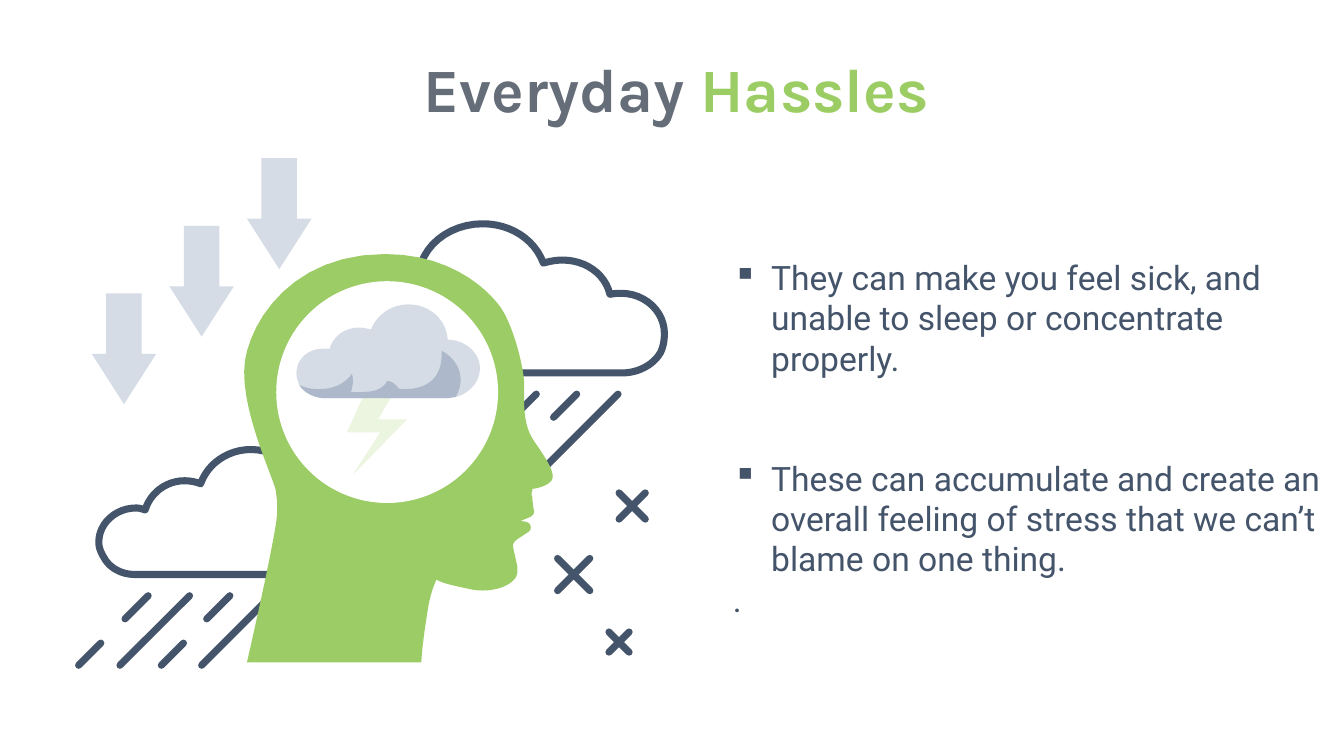
from pptx import Presentation
from pptx.dml.color import RGBColor
from pptx.enum.shapes import MSO_CONNECTOR, MSO_SHAPE
from pptx.enum.text import MSO_ANCHOR, MSO_AUTO_SIZE, PP_ALIGN
from pptx.oxml.ns import qn
from pptx.util import Pt
from lxml.etree import SubElement

PX = 9144
NAVY, GREEN, GREY = "44546A", "9CCC65", "656D78"
TITLE_GREEN, PALE_GREEN = "9BCD64", "EBF5E0"
PALE_BLUE, SHADE_BLUE, WHITE = "D6DCE5", "ADB9CA", "FFFFFF"
STROKE = 7
CURVE_STEPS = 12

# Outlines: a start point, then pairs for straight edges and sixes for Bézier curves.
LEFT_CLOUD = [
    (301, 570), (134, 570), (121, 570, 109, 564, 103, 553), (100, 548, 98, 543, 98, 538),
    (98, 519, 115, 504, 135, 504), (138, 504, 141, 505, 144, 506),
    (149, 489, 165, 477, 183, 477), (188, 477, 194, 478, 199, 480),
    (206, 460, 226, 446, 249, 446), (276, 446, 299, 466, 301, 492),
    (325, 494, 343, 510, 343, 531), (343, 549, 330, 564, 311, 569),
    (308, 570, 305, 570, 301, 570)]
RIGHT_CLOUD = [
    (617, 370), (416, 370), (412, 370, 408, 370, 403, 369), (380, 363, 365, 345, 365, 323),
    (365, 299, 387, 277, 415, 276), (416, 245, 445, 222, 479, 222),
    (506, 222, 530, 237, 539, 261), (546, 259, 552, 258, 558, 258),
    (580, 258, 600, 271, 605, 292), (610, 291, 613, 291, 616, 291),
    (640, 291, 659, 309, 659, 331), (659, 337, 658, 344, 655, 350),
    (648, 362, 633, 370, 617, 370)]
HEAD = [
    (418, 657), (245, 657), (245, 657, 274, 531, 275, 509), (275, 505, 275, 500, 275, 497),
    (274, 492, 274, 488, 273, 484), (267, 465, 237, 400, 243, 358),
    (249, 318, 290, 252, 382, 252), (455, 252, 491, 296, 498, 307),
    (510, 326, 520, 366, 520, 382), (520, 399, 518, 421, 530, 438),
    (542, 455, 550, 468, 548, 475), (546, 480, 537, 484, 528, 485),
    (528, 486, 528, 487, 528, 487), (527, 489, 527, 491, 528, 493),
    (528, 497, 529, 501, 529, 504), (530, 506, 530, 509, 529, 510),
    (528, 513, 520, 515, 516, 517), (524, 517, 528, 520, 526, 526),
    (525, 527, 524, 528, 522, 529), (517, 533, 509, 536, 509, 541),
    (509, 545, 511, 551, 512, 557), (514, 563, 514, 571, 510, 575),
    (503, 583, 484, 589, 464, 584), (445, 580, 438, 578, 433, 575),
    (429, 583, 426, 595, 425, 601), (418, 643, 418, 657, 418, 657)]
LIGHTNING = [(375, 416), (388, 394), (360, 394), (344, 429), (377, 429), (350, 471), (404, 416)]
STORM_CLOUD = [
    (476, 365), (476, 379, 466, 390, 452, 394), (449, 394, 446, 395, 444, 395), (320, 395),
    (310, 394, 301, 389, 297, 382), (295, 378, 294, 374, 294, 370),
    (294, 356, 306, 346, 320, 346), (322, 346, 325, 346, 327, 346),
    (330, 334, 342, 325, 356, 325), (360, 325, 364, 326, 368, 327),
    (373, 313, 388, 302, 405, 302), (426, 302, 443, 317, 444, 337),
    (461, 337, 476, 350, 476, 365)]
STORM_SHADE = [
    (438, 348), (440, 380, 417, 386, 403, 386), (399, 386, 396, 386, 395, 385),
    (394, 383, 389, 378, 384, 378), (379, 388, 367, 389, 357, 389),
    (353, 389, 350, 389, 348, 389), (350, 384, 351, 376, 349, 371),
    (341, 382, 329, 386, 317, 386), (309, 386, 303, 385, 297, 382),
    (301, 389, 310, 394, 320, 395), (444, 395), (446, 395, 449, 394, 452, 394),
    (464, 373, 452, 355, 438, 348)]
# Rain: lower-left end of each stroke and its rise, drawn at 45 degrees.
RAIN = [(78, 660, 22), (124, 614, 23), (119, 660, 69), (160, 660, 22), (205, 614, 23),
        (200, 660, 69), (394, 529, 138), (453, 510, 24), (501, 462, 24), (549, 414, 23),
        (475, 529, 138)]
CROSSES = [(627, 502, 13), (614, 637, 10), (569, 570, 16)]


def px(length):
    return round(length * PX)


def color(value):
    return RGBColor.from_string(value)


def paint(shape, fill=None, line=None):
    shape.shadow.inherit = False
    if fill:
        shape.fill.solid()
        shape.fill.fore_color.rgb = color(fill)
    else:
        shape.fill.background()
    if line:
        ink(shape, line)
    else:
        shape.line.fill.background()


def ink(shape, line):
    """Give a shape or connector a thick line with round ends and joins."""
    shape.line.color.rgb = color(line)
    shape.line.width = px(STROKE)
    outline = shape._element.spPr.find(qn("a:ln"))
    outline.set("cap", "rnd")
    SubElement(outline, qn("a:round"))


def flatten(outline):
    """Turn an outline of edges and curves into a list of points."""
    points = [outline[0]]
    for step in outline[1:]:
        if len(step) == 2:
            points.append(step)
            continue
        (x0, y0), (x1, y1, x2, y2, x3, y3) = points[-1], step
        for index in range(1, CURVE_STEPS + 1):
            t = index / CURVE_STEPS
            a, b, c, d = (1 - t) ** 3, 3 * t * (1 - t) ** 2, 3 * t * t * (1 - t), t ** 3
            points.append((a * x0 + b * x1 + c * x2 + d * x3, a * y0 + b * y1 + c * y2 + d * y3))
    return points


def add_outline(slide, box, outline, **look):
    points = [(px(box[0] + x), px(box[1] + y)) for x, y in flatten(outline)]
    builder = slide.shapes.build_freeform(*points[0], scale=1.0)
    builder.add_line_segments(points[1:], close=True)
    paint(builder.convert_to_shape(), **look)


def add_preset(slide, box, kind, place, fill):
    left, top, width, height = place
    shape = slide.shapes.add_shape(
        kind, px(box[0] + left), px(box[1] + top), px(width), px(height))
    paint(shape, fill)
    return shape


def add_stroke(slide, box, x1, y1, x2, y2):
    left, top = box[:2]
    stroke = slide.shapes.add_connector(
        MSO_CONNECTOR.STRAIGHT, px(left + x1), px(top + y1), px(left + x2), px(top + y2))
    ink(stroke, NAVY)
    SubElement(stroke._element.spPr, qn("a:effectLst"))


def add_text(para, text, font, size, fill, bold=False):
    span = para.add_run()
    span.text = text
    span.font.name, span.font.size, span.font.bold = font, Pt(size), bold
    span.font.color.rgb = color(fill)


def add_title(slide, box):
    title = slide.shapes.title
    title.left, title.top, title.width, title.height = map(px, box)
    frame = title.text_frame
    frame.auto_size, frame.vertical_anchor = MSO_AUTO_SIZE.NONE, MSO_ANCHOR.MIDDLE
    para = frame.paragraphs[0]
    para.alignment = PP_ALIGN.CENTER
    add_text(para, "Everyday ", "Karla", 44, GREY, bold=True)
    add_text(para, "Hassles", "Karla", 44, TITLE_GREEN, bold=True)


def add_illustration(slide, box):
    for x, y, rise in RAIN:
        add_stroke(slide, box, x, y, x + rise, y - rise)
    for cloud in (LEFT_CLOUD, RIGHT_CLOUD):
        add_outline(slide, box, cloud, line=NAVY)
    add_outline(slide, box, HEAD, fill=GREEN)
    add_preset(slide, box, MSO_SHAPE.OVAL, (274, 279, 220, 220), WHITE)
    for outline, fill in ((LIGHTNING, PALE_GREEN), (STORM_CLOUD, PALE_BLUE),
                          (STORM_SHADE, SHADE_BLUE)):
        add_outline(slide, box, outline, fill=fill)
    for x, y, half in CROSSES:
        for rise in (half, -half):
            add_stroke(slide, box, x - half, y - rise, x + half, y + rise)
    for index in range(3):
        place = (91 + 77 * index, 291 - 67 * index, 64, 110)
        arrow = add_preset(slide, box, MSO_SHAPE.DOWN_ARROW, place, PALE_BLUE)
        arrow.adjustments[0], arrow.adjustments[1] = 0.55, 0.78


def add_bullets(slide, box):
    frame = slide.shapes.add_textbox(*map(px, box)).text_frame
    frame.word_wrap = True
    points = [
        ("They can make you feel sick, and unable to sleep or concentrate properly.", True),
        ("These can accumulate and create an overall feeling of stress that we can’t "
         "blame on one thing.", True),
        (".", False)]
    for index, (text, bulleted) in enumerate(points):
        para = frame.add_paragraph() if index else frame.paragraphs[0]
        if bulleted:
            properties = para._p.get_or_add_pPr()
            properties.set("marL", str(px(38)))
            properties.set("indent", str(px(-38)))
            SubElement(properties, qn("a:buChar")).set("char", "▪")
            if index:
                para.space_before = Pt(57)
        add_text(para, text, "Roboto", 24, NAVY)


def main():
    deck = Presentation()
    deck.slide_width, deck.slide_height = px(1333), px(750)
    slide = deck.slides.add_slide(deck.slide_layouts[5])
    add_title(slide, (258, 45, 826, 84))
    add_illustration(slide, (0, 0, 700, 750))
    add_bullets(slide, (717, 250, 609, 374))
    deck.save("out.pptx")


if __name__ == "__main__":
    main()
